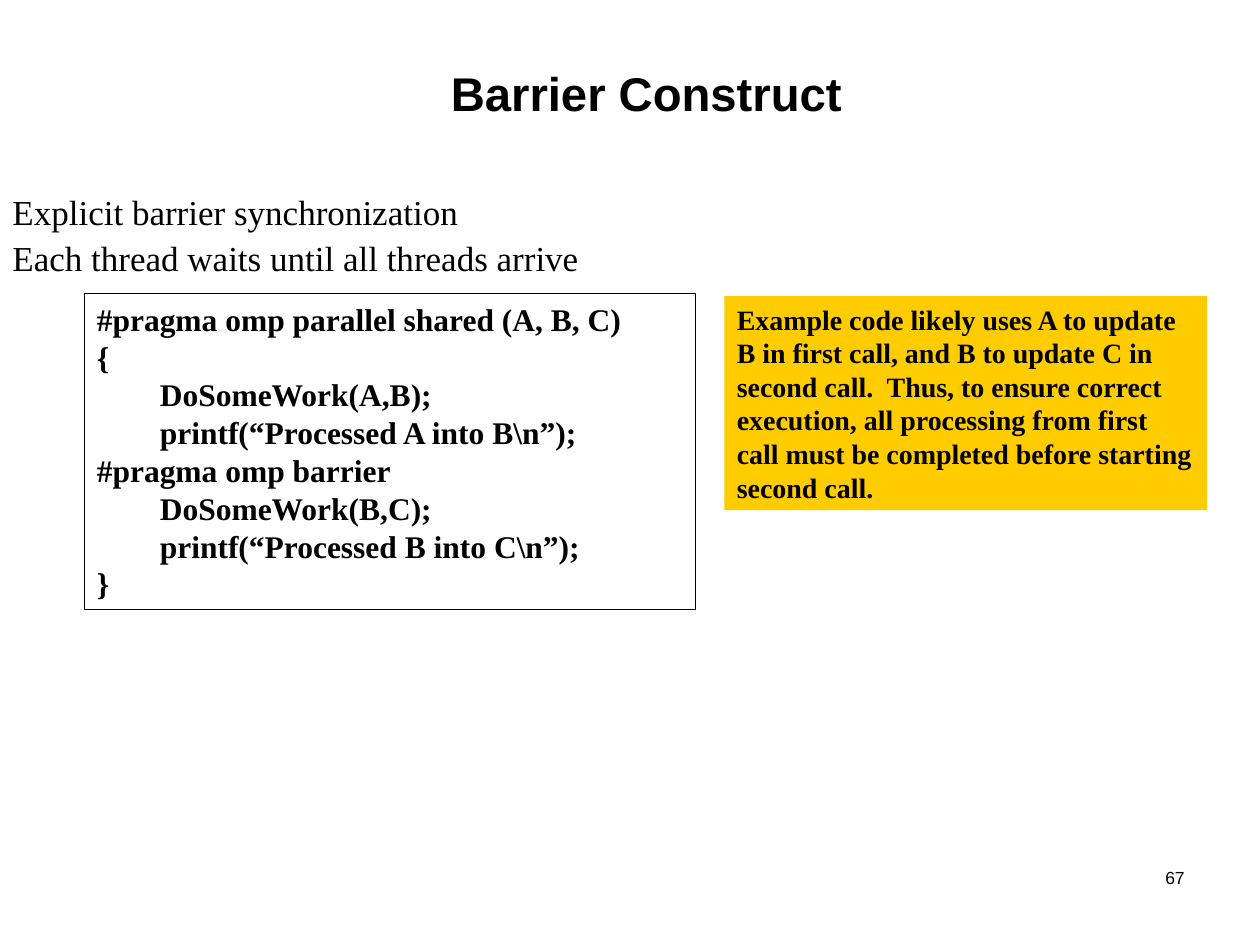
from dataclasses import dataclass
from typing import Optional

from pptx import Presentation
from pptx.dml.color import RGBColor
from pptx.enum.shapes import MSO_SHAPE
from pptx.enum.text import MSO_ANCHOR, PP_ALIGN
from pptx.util import Inches, Pt

RECTANGLE = MSO_SHAPE.RECTANGLE
TOP, MIDDLE = MSO_ANCHOR.TOP, MSO_ANCHOR.MIDDLE
LEFT, CENTER, RIGHT = PP_ALIGN.LEFT, PP_ALIGN.CENTER, PP_ALIGN.RIGHT
TITLE_ONLY = 5
SANS, SERIF = "Arial", "Times New Roman"
BLACK, AMBER = "000000", "FFCC00"

CODE = """#pragma omp parallel shared (A, B, C)
{
\tDoSomeWork(A,B);
\tprintf(“Processed A into B\\n”);
#pragma omp barrier
\tDoSomeWork(B,C);
\tprintf(“Processed B into C\\n”);
}"""
EXPLANATION = (
    "Example code likely uses A to update B in first call, and B to update C "
    "in second call.  Thus, to ensure correct execution, all processing from "
    "first call must be completed before starting second call."
)


@dataclass
class TextStyle:
    font: str
    size: float
    bold: bool = False
    align: PP_ALIGN = LEFT
    anchor: MSO_ANCHOR = TOP
    line_spacing: float = 1.0
    space_between: float = 0


@dataclass
class Box:
    left: float
    top: float
    width: float
    height: float

    def lengths(self) -> list:
        return [Inches(v) for v in (self.left, self.top, self.width, self.height)]


@dataclass
class Panel:
    box: Box
    text: str
    style: TextStyle
    fill: Optional[str] = None
    line: Optional[str] = None


def color(value: str) -> RGBColor:
    return RGBColor.from_string(value)


def write_text(shape, paragraphs: list[str], style: TextStyle) -> None:
    frame = shape.text_frame
    frame.word_wrap = True
    frame.vertical_anchor = style.anchor
    for index, text in enumerate(paragraphs):
        paragraph = frame.add_paragraph() if index else frame.paragraphs[0]
        paragraph.text = text
        paragraph.alignment = style.align
        paragraph.line_spacing = style.line_spacing
        paragraph.space_before = Pt(style.space_between if index else 0)
        paragraph.font.name = style.font
        paragraph.font.size = Pt(style.size)
        paragraph.font.bold = style.bold
        paragraph.font.color.rgb = color(BLACK)


def add_text(slide, box: Box, paragraphs: list[str], style: TextStyle) -> None:
    write_text(slide.shapes.add_textbox(*box.lengths()), paragraphs, style)


def add_panel(slide, panel: Panel) -> None:
    shape = slide.shapes.add_shape(RECTANGLE, *panel.box.lengths())
    shape.shadow.inherit = False
    if panel.fill:
        shape.fill.solid()
        shape.fill.fore_color.rgb = color(panel.fill)
    else:
        shape.fill.background()
    if panel.line:
        shape.line.color.rgb = color(panel.line)
        shape.line.width = Pt(0.75)
    else:
        shape.line.fill.background()
    write_text(shape, [panel.text], panel.style)


def main() -> None:
    presentation = Presentation()
    presentation.slide_width, presentation.slide_height = Inches(10), Inches(7.5)
    slide = presentation.slides.add_slide(presentation.slide_layouts[TITLE_ONLY])

    # Title
    title = slide.shapes.title
    title.left, title.top, title.width, title.height = Box(2.42, 0.47, 5.42, 0.53).lengths()
    write_text(title, ["Barrier Construct"], TextStyle(SANS, 27, True, CENTER, MIDDLE))

    # Key points
    add_text(
        slide,
        Box(0, 1.5, 6.08, 0.75),
        ["Explicit barrier synchronization", "Each thread waits until all threads arrive"],
        TextStyle(SERIF, 20, line_spacing=0.9, space_between=5),
    )

    # Code sample and its explanation
    for panel in (
        Panel(Box(0.67, 2.33, 4.85, 2.51), CODE, TextStyle(SERIF, 18, True), line=BLACK),
        Panel(Box(5.75, 2.35, 3.83, 1.7), EXPLANATION, TextStyle(SERIF, 16, True), fill=AMBER),
    ):
        add_panel(slide, panel)

    # Page number
    add_text(slide, Box(7.42, 6.83, 2.08, 0.5), ["67"], TextStyle(SANS, 10, align=RIGHT))

    presentation.save("out.pptx")


if __name__ == "__main__":
    main()
